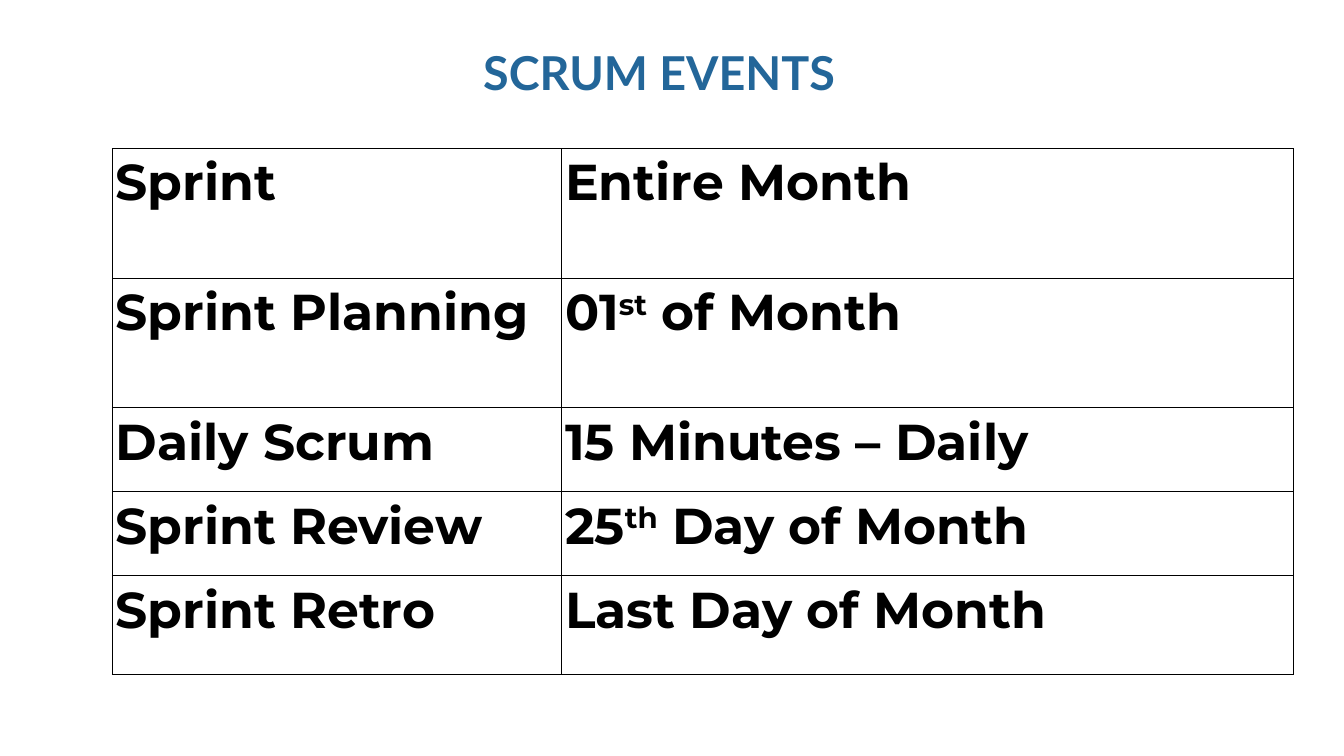
from pptx import Presentation
from pptx.dml.color import RGBColor
from pptx.enum.text import MSO_ANCHOR, MSO_AUTO_SIZE, PP_ALIGN
from pptx.oxml import parse_xml
from pptx.oxml.ns import nsdecls
from pptx.util import Inches, Pt

BLUE = RGBColor(0x23, 0x66, 0x99)
BLACK = RGBColor(0, 0, 0)
WHITE = RGBColor(255, 255, 255)

TITLE_FONT = {"name": "Lato", "size": Pt(50), "bold": True}
CELL_FONT = {"name": "Montserrat", "size": Pt(54), "bold": True}

# Each timing is (text, superscript, rest)
EVENTS = [
    ("Sprint", ("Entire Month",)),
    ("Sprint Planning", ("01", "st", " of Month")),
    ("Daily Scrum", ("15 Minutes – Daily",)),
    ("Sprint Review", ("25", "th", " Day of Month")),
    ("Sprint Retro", ("Last Day of Month",)),
]
COL_WIDTHS = [6.69, 10.89]
ROW_HEIGHTS = [1.93, 1.93, 1.25, 1.25, 1.47]


def set_attrs(obj, values):
    for name, value in values.items():
        setattr(obj, name, value)


def add_run(p, text, font, color):
    r = p.add_run()
    r.text = text
    set_attrs(r.font, font)
    r.font.color.rgb = color
    return r


def add_borders(cell):
    tcPr = cell._tc.get_or_add_tcPr()
    for i, side in enumerate(("lnL", "lnR", "lnT", "lnB")):
        tcPr.insert(i, parse_xml(
            f'<a:{side} {nsdecls("a")} w="{Pt(1)}"><a:solidFill>'
            f'<a:srgbClr val="{BLACK}"/></a:solidFill></a:{side}>'))


def fill_cell(cell, parts):
    set_attrs(cell, {"margin_left": Inches(0.05), "margin_right": Inches(0.05),
                     "margin_top": Inches(0.05), "margin_bottom": Inches(0.05),
                     "vertical_anchor": MSO_ANCHOR.TOP})
    cell.fill.solid()
    cell.fill.fore_color.rgb = WHITE
    add_borders(cell)
    p = cell.text_frame.paragraphs[0]
    for i, text in enumerate(parts):
        r = add_run(p, text, CELL_FONT, BLACK)
        if i == 1:  # ordinal suffix
            r.font._element.set("baseline", "30000")


def add_title(s, left, top, width, height):
    sp = s.shapes.title
    set_attrs(sp, {"left": Inches(left), "top": Inches(top),
                   "width": Inches(width), "height": Inches(height)})
    tf = sp.text_frame
    set_attrs(tf, {"margin_left": 0, "margin_right": 0, "margin_top": 0,
                   "margin_bottom": 0, "word_wrap": True,
                   "vertical_anchor": MSO_ANCHOR.TOP,
                   "auto_size": MSO_AUTO_SIZE.SHAPE_TO_FIT_TEXT})
    p = tf.paragraphs[0]
    p.alignment = PP_ALIGN.LEFT
    add_run(p, "SCRUM EVENTS", TITLE_FONT, BLUE)


def add_events_table(s, left, top):
    table = s.shapes.add_table(
        len(EVENTS), len(COL_WIDTHS), Inches(left), Inches(top),
        Inches(sum(COL_WIDTHS)), Inches(sum(ROW_HEIGHTS))).table
    set_attrs(table, {"first_row": False, "horz_banding": False})
    for col, width in zip(table.columns, COL_WIDTHS):
        col.width = Inches(width)
    for row, height, (event, timing) in zip(table.rows, ROW_HEIGHTS, EVENTS):
        row.height = Inches(height)
        fill_cell(row.cells[0], (event,))
        fill_cell(row.cells[1], timing)


def main():
    prs = Presentation()
    prs.slide_width, prs.slide_height = Inches(20), Inches(11.25)
    s = prs.slides.add_slide(prs.slide_layouts[5])
    add_title(s, 7.19, 0.65, 5.63, 0.84)
    add_events_table(s, 1.67, 2.21)
    prs.save("out.pptx")


if __name__ == "__main__":
    main()
